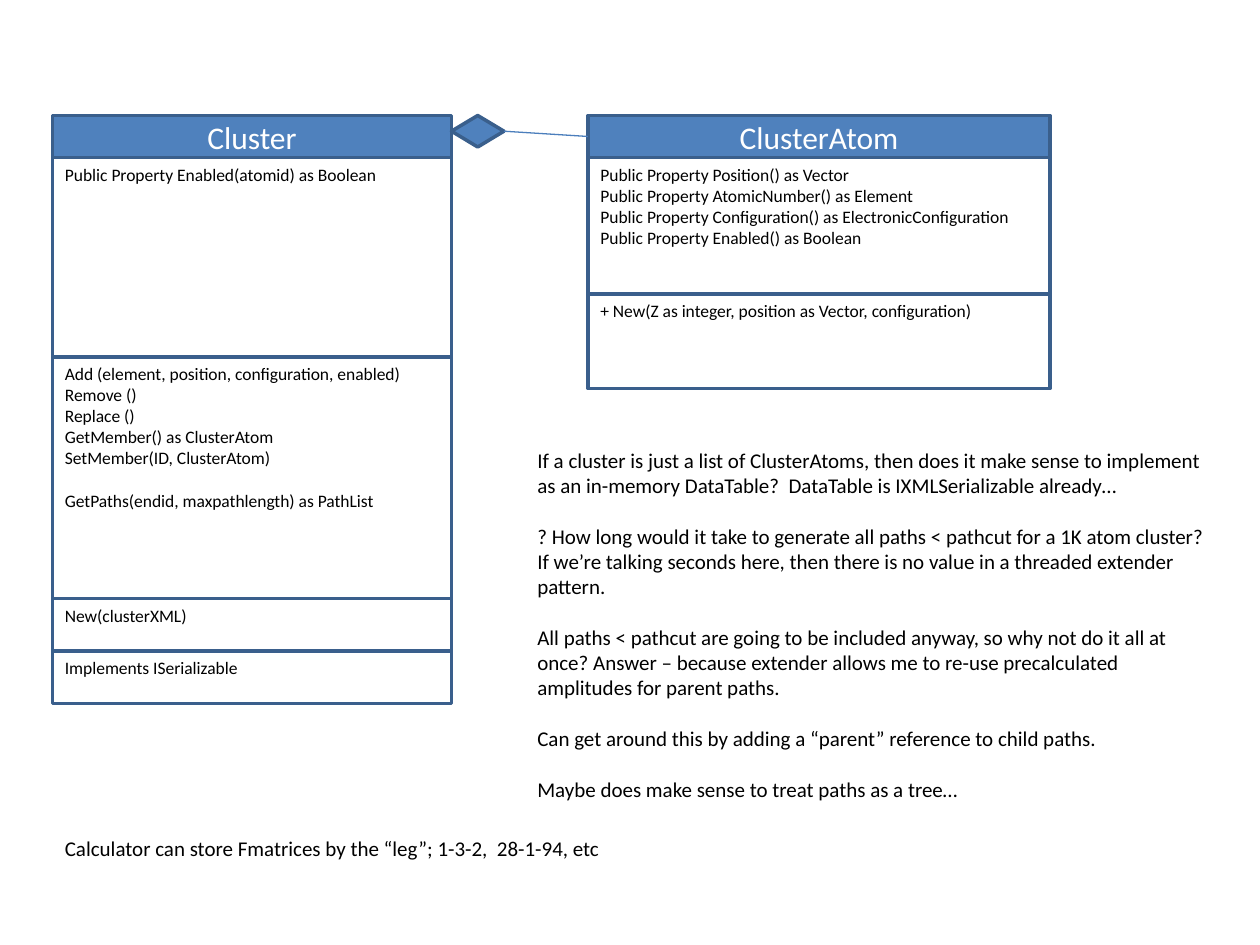
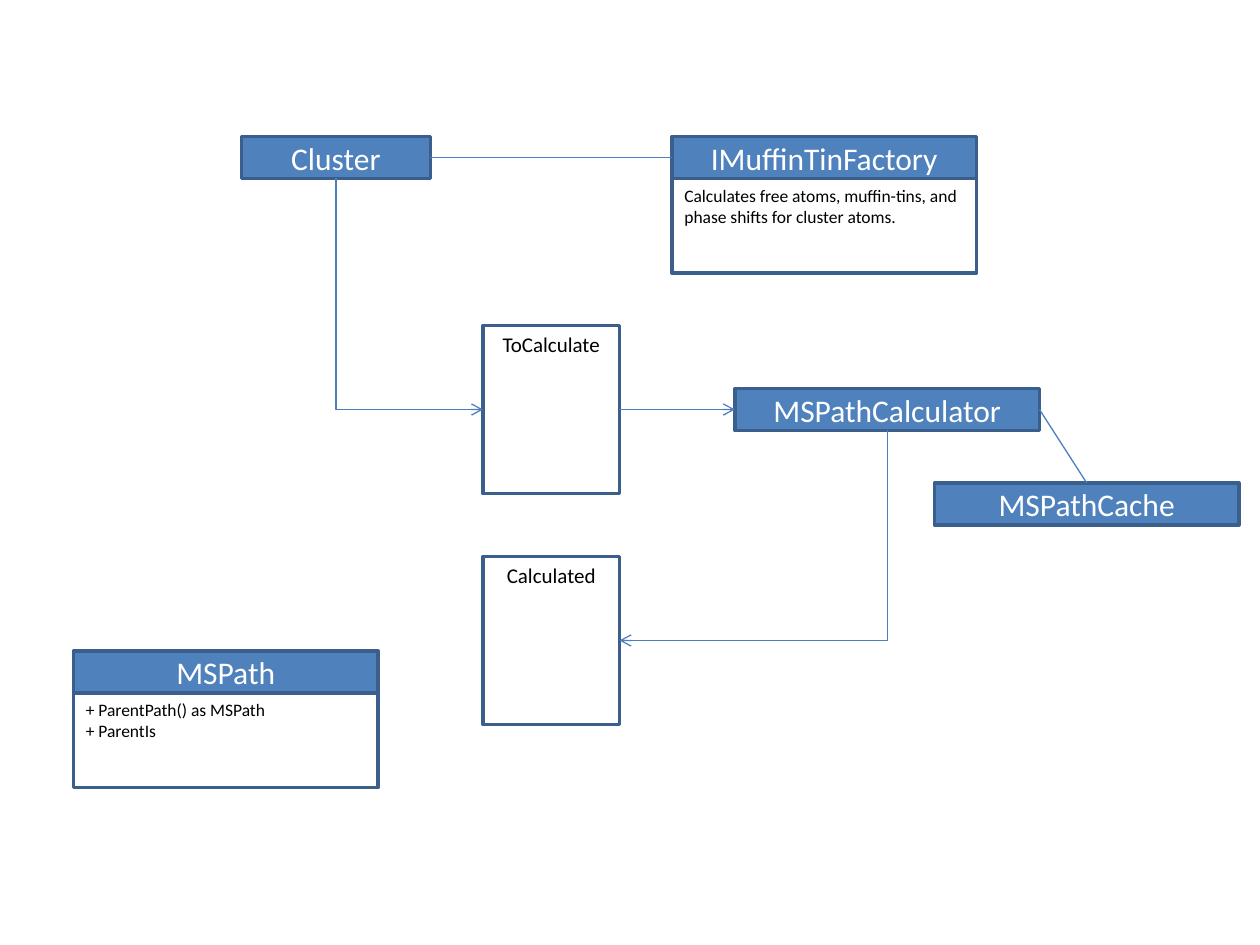
from lxml.etree import SubElement
from pptx import Presentation
from pptx.dml.color import RGBColor
from pptx.enum.shapes import MSO_CONNECTOR, MSO_SHAPE
from pptx.enum.text import MSO_ANCHOR, PP_ALIGN
from pptx.oxml.ns import qn
from pptx.util import Inches, Pt

FONT = "Calibri"
FILL = "4F81BD"
EDGE = "3A5F8C"
WIRE = "4B7EBC"
WHITE = "FFFFFF"
BLACK = "000000"
LINE_HEIGHT = 1.22
HEADER_ROWS = 4
TOP, LEFT, BOTTOM, RIGHT = range(4)


def grid(units):
    return Inches(units / 12)


def colour(value):
    return RGBColor.from_string(value)


def write_text(frame, groups, size, ink=BLACK, align=PP_ALIGN.LEFT, anchor=MSO_ANCHOR.TOP):
    frame.word_wrap = True
    frame.vertical_anchor = anchor
    para = None
    for group in groups:
        if para is not None:
            para.space_after = Pt(size * LINE_HEIGHT)
        for line in group:
            para = frame.paragraphs[0] if para is None else frame.add_paragraph()
            para.alignment = align
            span = para.add_run()
            span.text = line
            span.font.name = FONT
            span.font.size = Pt(size)
            span.font.color.rgb = colour(ink)


def add_box(page, box, fill=WHITE, kind=MSO_SHAPE.RECTANGLE):
    shape = page.shapes.add_shape(kind, *map(grid, box))
    shape.shadow.inherit = False
    shape.fill.solid()
    shape.fill.fore_color.rgb = colour(fill)
    shape.line.color.rgb = colour(EDGE)
    shape.line.width = Pt(2)
    return shape


def add_class(page, left, top, width, name, sections=()):
    header = add_box(page, (left, top, width, HEADER_ROWS), FILL)
    write_text(header.text_frame, [[name]], 18, WHITE, PP_ALIGN.CENTER, MSO_ANCHOR.MIDDLE)
    top += HEADER_ROWS
    for rows, groups in sections:
        section = add_box(page, (left, top, width, rows))
        write_text(section.text_frame, groups, 10)
        top += rows
    return header


def add_queue(page, left, top, name):
    queue = add_box(page, (left, top, 13, 16))
    write_text(queue.text_frame, [[name]], 12, align=PP_ALIGN.CENTER)
    return queue


def add_note(page, box, groups):
    note = page.shapes.add_textbox(*map(grid, box))
    write_text(note.text_frame, groups, 12)


def join(page, start, start_side, end, end_side, kind=MSO_CONNECTOR.STRAIGHT, arrow=False):
    wire = page.shapes.add_connector(kind, 0, 0, 0, 0)
    wire.begin_connect(start, start_side)
    wire.end_connect(end, end_side)
    wire.line.color.rgb = colour(WIRE)
    wire.line.width = Pt(0.75)
    if arrow:
        SubElement(wire.line._get_or_add_ln(), qn("a:tailEnd"), type="arrow")
    SubElement(wire._element.spPr, qn("a:effectLst"))
    return wire


def join_down_then_across(page, start, end, end_side):
    wire = join(page, start, BOTTOM, end, end_side, MSO_CONNECTOR.ELBOW, True)
    across, down = wire.end_x - wire.begin_x, wire.end_y - wire.begin_y
    middle_x, middle_y = wire.begin_x + across // 2, wire.begin_y + down // 2
    wire.width, wire.height = down, abs(across)
    wire.left, wire.top = middle_x - down // 2, middle_y - abs(across) // 2
    properties = wire._element.spPr
    properties.find(qn("a:prstGeom")).set("prst", "bentConnector2")
    frame = properties.find(qn("a:xfrm"))
    frame.set("rot", str((270 if across > 0 else 90) * 60000))
    frame.set("flipH", "1" if across > 0 else "0")


def build_cluster_slide(page):
    add_class(page, 5, 11, 38, "Cluster", [
        (19, [["Public Property Enabled(atomid) as Boolean"]]),
        (23, [
            ["Add (element, position, configuration, enabled)", "Remove ()", "Replace ()",
             "GetMember() as ClusterAtom", "SetMember(ID, ClusterAtom)"],
            ["GetPaths(endid, maxpathlength) as PathList"],
        ]),
        (5, [["New(clusterXML)"]]),
        (5, [["Implements ISerializable"]]),
    ])
    atom = add_class(page, 56, 11, 44, "ClusterAtom", [
        (13, [["Public Property Position() as Vector",
               "Public Property AtomicNumber() as Element",
               "Public Property Configuration() as ElectronicConfiguration",
               "Public Property Enabled() as Boolean"]]),
        (9, [["+ New(Z as integer, position as Vector, configuration)"]]),
    ])
    diamond = add_box(page, (43, 11, 5, 3), FILL, MSO_SHAPE.DIAMOND)
    join(page, diamond, RIGHT, atom, LEFT)
    add_note(page, (50, 42, 67, 35), [
        ["If a cluster is just a list of ClusterAtoms, then does it make sense to implement "
         "as an in-memory DataTable?  DataTable is IXMLSerializable already…"],
        ["? How long would it take to generate all paths < pathcut for a 1K atom cluster?  "
         "If we’re talking seconds here, then there is no value in a threaded extender pattern."],
        ["All paths < pathcut are going to be included anyway, so why not do it all at once? "
         "Answer – because extender allows me to re-use precalculated amplitudes for parent paths."],
        ["Can get around this by adding a “parent” reference to child paths."],
        ["Maybe does make sense to treat paths as a tree…"],
    ])
    add_note(page, (5, 79, 67, 3.6), [
        ["Calculator can store Fmatrices by the “leg”; 1-3-2,  28-1-94, etc"],
    ])


def build_calculation_slide(page):
    cluster = add_class(page, 23, 13, 18, "Cluster")
    factory = add_class(page, 64, 13, 29, "IMuffinTinFactory", [
        (9, [["Calculates free atoms, muffin-tins, and phase shifts for cluster atoms."]]),
    ])
    to_calculate = add_queue(page, 46, 31, "ToCalculate")
    calculated = add_queue(page, 46, 53, "Calculated")
    calculator = add_class(page, 70, 37, 29, "MSPathCalculator")
    cache = add_class(page, 89, 46, 29, "MSPathCache")
    add_class(page, 7, 62, 29, "MSPath", [
        (9, [["+ ParentPath() as MSPath", "+ ParentIs"]]),
    ])
    join(page, cluster, RIGHT, factory, LEFT)
    join(page, calculator, RIGHT, cache, TOP)
    join(page, to_calculate, RIGHT, calculator, LEFT, MSO_CONNECTOR.ELBOW, True)
    join_down_then_across(page, cluster, to_calculate, LEFT)
    join_down_then_across(page, calculator, calculated, RIGHT)


def main():
    deck = Presentation()
    deck.slide_width, deck.slide_height = grid(120), grid(90)
    blank = deck.slide_layouts.get_by_name("Blank")
    for build in (build_cluster_slide, build_calculation_slide):
        build(deck.slides.add_slide(blank))
    deck.save("out.pptx")


if __name__ == "__main__":
    main()
